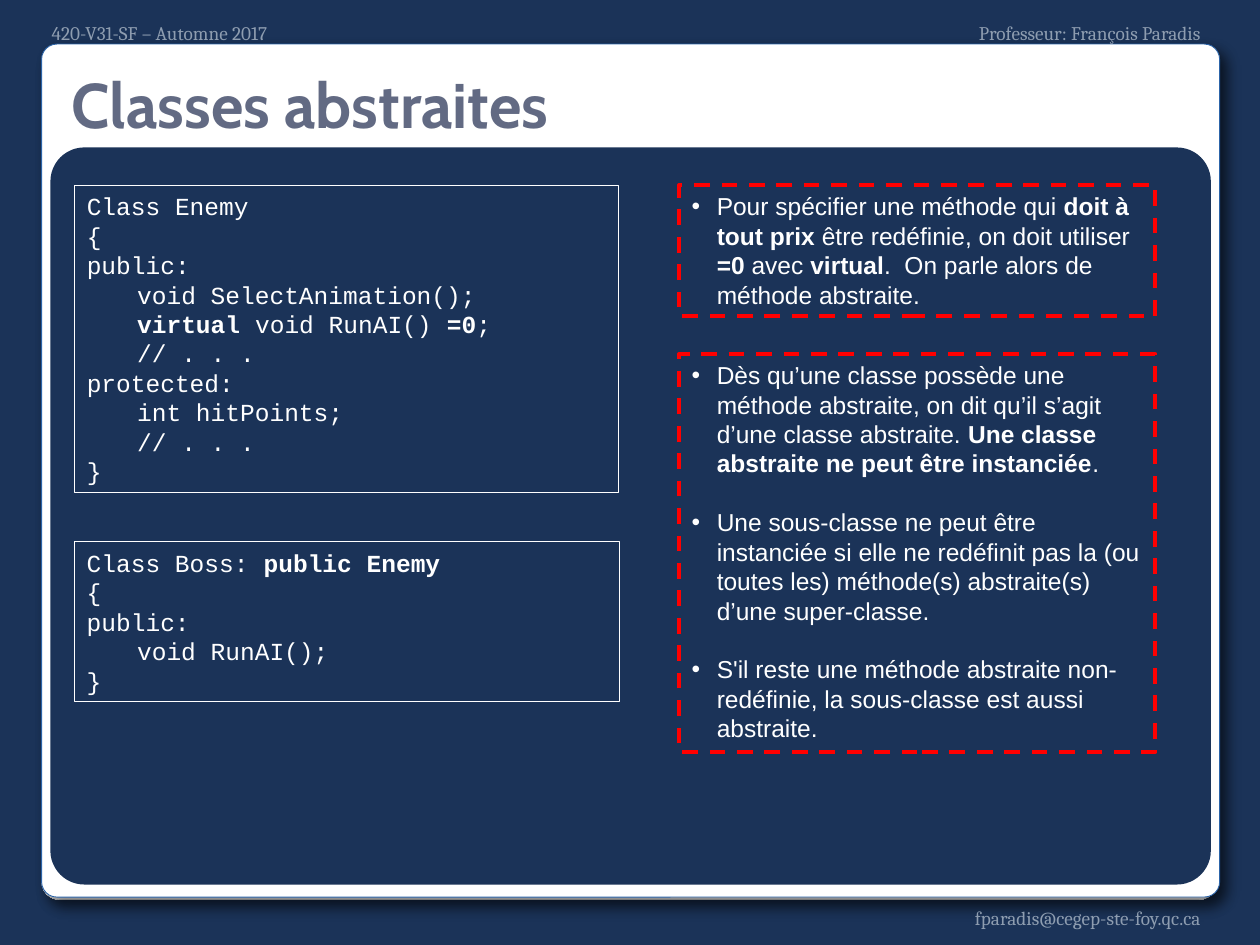
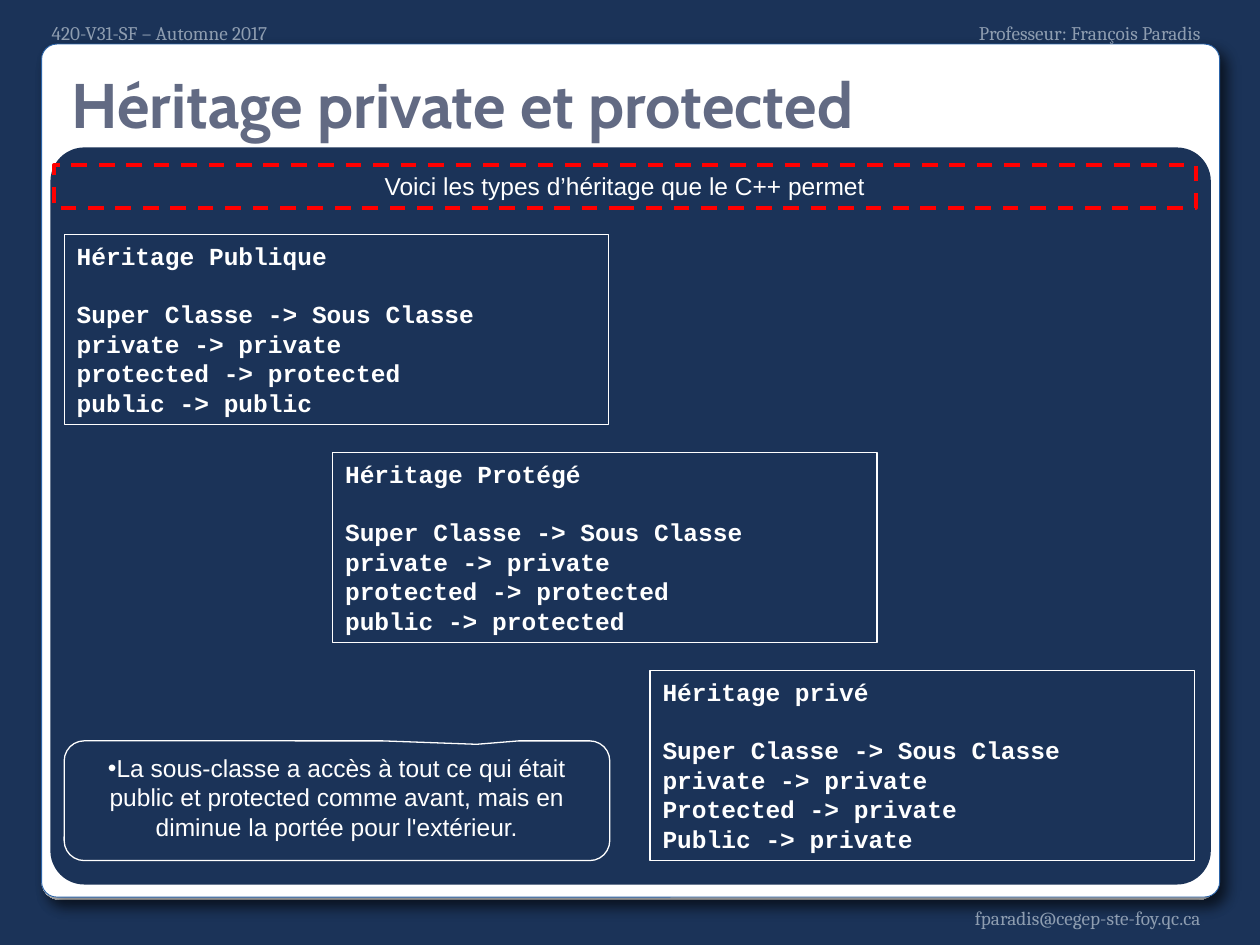
import pptx
import pptx.util
import pptx.dml.color
import pptx.enum.dml
import pptx.enum.shapes
import pptx.enum.text
import pptx.oxml
import pptx.oxml.ns
from dataclasses import dataclass

Inches, Pt = pptx.util.Inches, pptx.util.Pt
Shape = pptx.enum.shapes.MSO_SHAPE
Align = pptx.enum.text.PP_ALIGN
Anchor = pptx.enum.text.MSO_ANCHOR


@dataclass(frozen=True)
class Theme:
    navy: str = "1B3358"
    white: str = "FFFFFF"
    red: str = "FF0000"
    blue: str = "2C64A8"
    grey: str = "A4A4A4"
    slate: str = "626A83"
    mist: str = "8E9DB0"
    head: str = "Cabin"
    note: str = "Cambria"
    body: str = "Arial"
    code: str = "Courier New"
    big: int = 36
    mid: int = 14
    small: int = 11
    lead: float = 16.8  # line pitch of body text
    thin: float = 0.75
    thick: float = 2.25


T = Theme()
PAGE = (0, 0, 10, 7.5)
BODY = (0.4, 1.17, 9.21, 5.85)


def rgb(code):
    return pptx.dml.color.RGBColor.from_string(code)


def inner(box, x, y, w, h):
    """Box at an offset from the corner of another box."""
    return box[0] + x, box[1] + y, w, h


def graft(host, tag, body="", attrs=""):
    """Append a drawing element given as XML."""
    ns = pptx.oxml.ns.nsdecls("a")
    host.append(pptx.oxml.parse_xml(f"<a:{tag} {ns} {attrs}>{body}</a:{tag}>"))


def draw(slide, kind, box, fill=None, line=None, width=T.thin, dash=False, adj=()):
    shape = slide.shapes.add_shape(kind, *map(Inches, box))
    shape.shadow.inherit = False
    for i, value in enumerate(adj):
        shape.adjustments[i] = value
    if fill:
        shape.fill.solid()
        shape.fill.fore_color.rgb = rgb(fill)
    else:
        shape.fill.background()
    if line:
        shape.line.color.rgb = rgb(line)
        shape.line.width = Pt(width)
        if dash:
            shape.line.dash_style = pptx.enum.dml.MSO_LINE.DASH
    else:
        shape.line.fill.background()
    return shape


def write(shape, lines, font=T.body, size=T.mid, color=T.white, bold=False,
          align=Align.LEFT, anchor=Anchor.TOP, inset=True, lead=T.lead,
          bullet=False, hang=0.2, gaps=()):
    """Fill a shape; ** toggles bold, a tab indents, gaps lists spaced lines."""
    frame = shape.text_frame
    frame.word_wrap = True
    frame.vertical_anchor = anchor
    if not inset:
        frame.margin_left = frame.margin_right = 0
        frame.margin_top = frame.margin_bottom = 0
    for i, line in enumerate(lines):
        para = frame.add_paragraph() if i else frame.paragraphs[0]
        para.alignment = align
        props = para._p.get_or_add_pPr()
        if bullet:
            props.set("marL", str(Inches(hang)))
            props.set("indent", str(-Inches(hang)))
            graft(props, "buFont", attrs='typeface="Arial"')
            graft(props, "buChar", attrs='char="•"')
        elif line.startswith("\t"):
            props.set("marL", str(Inches(0.4)))
        if lead:
            para.line_spacing = Pt(lead)
        if i in gaps:
            para.space_before = Pt(T.lead)
        for j, part in enumerate(line.strip("\t").split("**")):
            if part:
                run = para.add_run()
                run.text = part
                run.font.name, run.font.size = font, Pt(size)
                run.font.bold = bold or j % 2 == 1
                run.font.color.rgb = rgb(color)


def label(slide, box, text, **form):
    write(slide.shapes.add_textbox(*map(Inches, box)), [text], lead=None, **form)


def shade(shape):
    """Soft shadow towards the lower right."""
    effect = shape._element.spPr.find(pptx.oxml.ns.qn("a:effectLst"))
    color = '<a:srgbClr val="000000"><a:alpha val="40000"/></a:srgbClr>'
    graft(effect, "outerShdw", color,
          f'blurRad="{Pt(8)}" dist="{Pt(6)}" dir="2700000" algn="tl" rotWithShape="0"')


def card(slide, box):
    """White card with its shaded lower edge."""
    back = draw(slide, Shape.ROUNDED_RECTANGLE, inner(box, 0.33, 0.36, 9.33, 6.78),
                T.white, T.grey, 0.16, adj=[0.021])
    stops = ((0, "FFFFFF"), (98, "FFFFFF"), (99, "F7F7F7"), (100, "DADADA"))
    marks = "".join(f'<a:gs pos="{at * 1000}"><a:srgbClr val="{tone}"/></a:gs>'
                    for at, tone in stops)
    props = back._element.spPr
    graft(props, "gradFill", f'<a:gsLst>{marks}</a:gsLst><a:lin ang="5400000" scaled="0"/>')
    solid = props.find(pptx.oxml.ns.qn("a:solidFill"))
    props.replace(solid, props[-1])
    front = draw(slide, Shape.ROUNDED_RECTANGLE, inner(box, 0.33, 0.35, 9.35, 6.77),
                 T.white, T.blue, 0.5, adj=[0.018])
    shade(back)
    shade(front)


def margins(slide, box):
    """Course, teacher and address around the card."""
    form = dict(font=T.note, size=T.small, color=T.mist, inset=False)
    label(slide, inner(box, 6.48, 7.19, 3.05, 0.31), "fparadis@cegep-ste-foy.qc.ca",
          align=Align.RIGHT, **form)
    label(slide, inner(box, 0.41, 0.12, 2.5, 0.23), "420-V31-SF – Automne 2017",
          anchor=Anchor.BOTTOM, **form)
    label(slide, inner(box, 7.03, 0.12, 2.5, 0.23), "Professeur: François Paradis",
          align=Align.RIGHT, anchor=Anchor.BOTTOM, **form)


def base(deck, title):
    """Slide with the shared frame and its title."""
    slide = deck.slides.add_slide(deck.slide_layouts[6])
    slide.background.fill.solid()
    slide.background.fill.fore_color.rgb = rgb(T.navy)
    card(slide, PAGE)
    margins(slide, PAGE)
    draw(slide, Shape.ROUNDED_RECTANGLE, BODY, T.navy, adj=[0.046])
    label(slide, inner(PAGE, 0.47, 0.39, 8.95, 0.78), title, font=T.head,
          size=T.big, color=T.slate, bold=True, anchor=Anchor.BOTTOM)
    return slide


def code(slide, box, lines, **form):
    """White outlined listing."""
    write(draw(slide, Shape.RECTANGLE, box, line=T.white), lines, font=T.code, **form)


def note(slide, box, lines, **form):
    """Red dashed remark."""
    shape = draw(slide, Shape.RECTANGLE, box, line=T.red, width=T.thick, dash=True)
    write(shape, lines, **form)


def classes(slide, box):
    """Listings on the left, remarks on the right."""
    note(slide, inner(box, 4.99, 1.64, 3.78, 3.16), [
        "Dès qu’une classe possède une méthode abstraite, on dit qu’il s’agit d’une "
        "classe abstraite. **Une classe abstraite ne peut être instanciée**.",
        "Une sous-classe ne peut être instanciée si elle ne redéfinit pas la (ou "
        "toutes les) méthode(s) abstraite(s) d’une super-classe.",
        "S'il reste une méthode abstraite non-redéfinie, la sous-classe est aussi "
        "abstraite."], bullet=True, gaps=(1, 2))
    code(slide, inner(box, 0.19, 0.3, 4.32, 2.44), [
        "Class Enemy", "{", "public:", "\tvoid SelectAnimation();",
        "\t**virtual** void RunAI() **=0**;", "\t// . . .", "protected:",
        "\tint hitPoints;", "\t// . . .", "}"])
    code(slide, inner(box, 0.19, 3.13, 4.33, 1.27), [
        "Class Boss: **public Enemy**", "{", "public:", "\tvoid RunAI();", "}"])
    note(slide, inner(box, 4.99, 0.3, 3.78, 1.04), [
        "Pour spécifier une méthode qui **doit à tout prix** être redéfinie, on doit "
        "utiliser **=0 **avec **virtual**.  On parle alors de méthode abstraite."],
        bullet=True)


def modes(slide, box):
    """Three kinds of inheritance in a staircase, with a callout."""
    note(slide, inner(box, 0.03, 0.14, 9.06, 0.34),
         ["Voici les types d’héritage que le C++ permet"], align=Align.CENTER)
    kinds = [
        (0.11, "Publique", ("private -> private", "protected -> protected",
                            "public -> public")),
        (2.24, "Protégé", ("private -> private", "protected -> protected",
                           "public -> protected")),
        (4.76, "privé", ("private -> private", "Protected -> private",
                         "Public -> private"))]
    for i, (left, name, rules) in enumerate(kinds):
        code(slide, inner(box, left, 0.69 + 1.73 * i, 4.32, 1.51),
             [f"Héritage {name}", "Super Classe -> Sous Classe", *rules],
             bold=True, gaps=(1,))
    call = draw(slide, Shape.ROUNDED_RECTANGULAR_CALLOUT, inner(box, 0.11, 4.71, 4.33, 0.95),
                T.navy, T.white, adj=[0.256, -0.471, 0.167])
    write(call, ["La sous-classe a accès à tout ce qui était public et protected comme "
                 "avant, mais en diminue la portée pour l'extérieur."],
          align=Align.CENTER, bullet=True, hang=0)


def main():
    deck = pptx.Presentation()
    deck.slide_width, deck.slide_height = Inches(PAGE[2]), Inches(PAGE[3])
    classes(base(deck, "Classes abstraites"), BODY)
    modes(base(deck, "Héritage private et protected"), BODY)
    deck.save("out.pptx")


if __name__ == "__main__":
    main()
